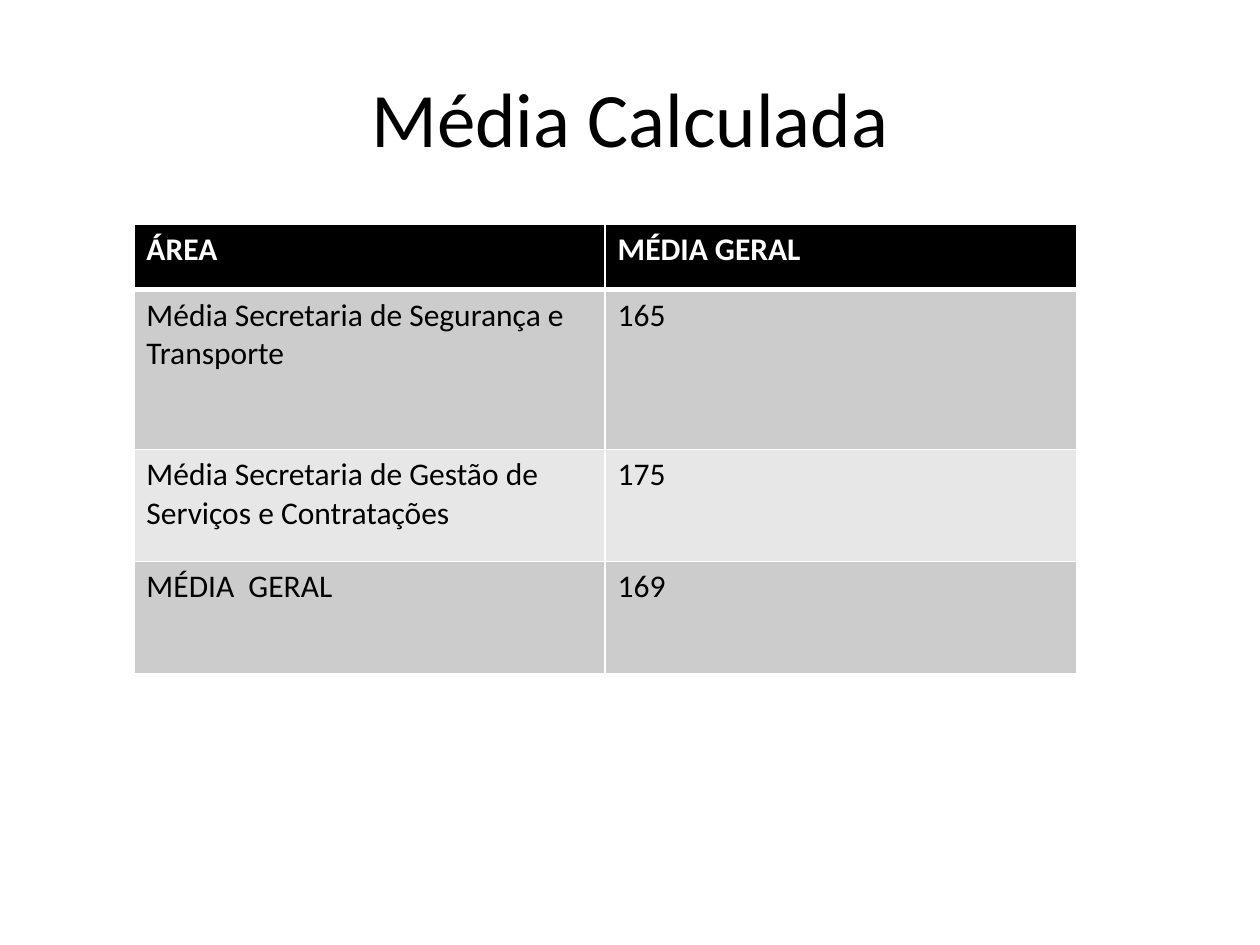
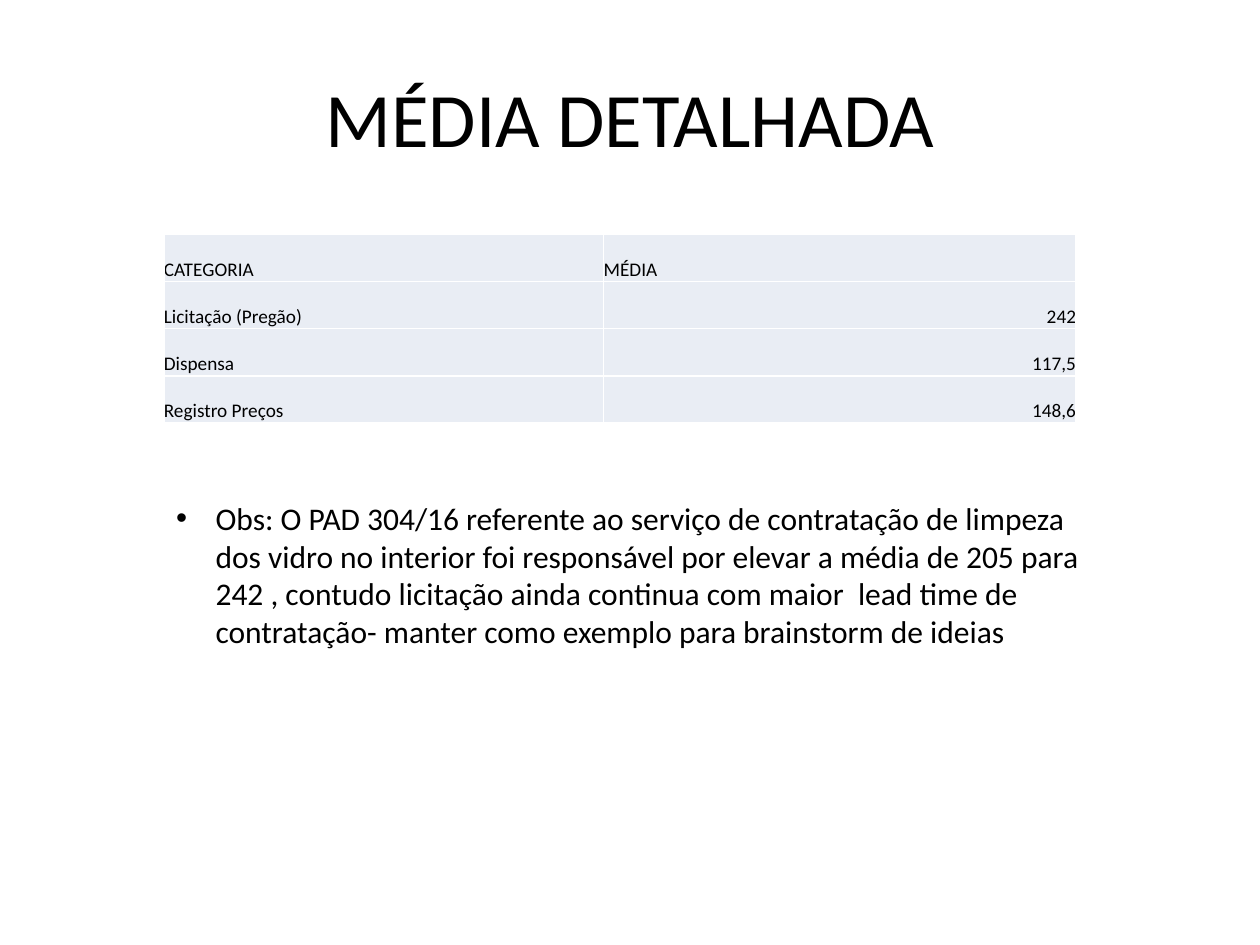
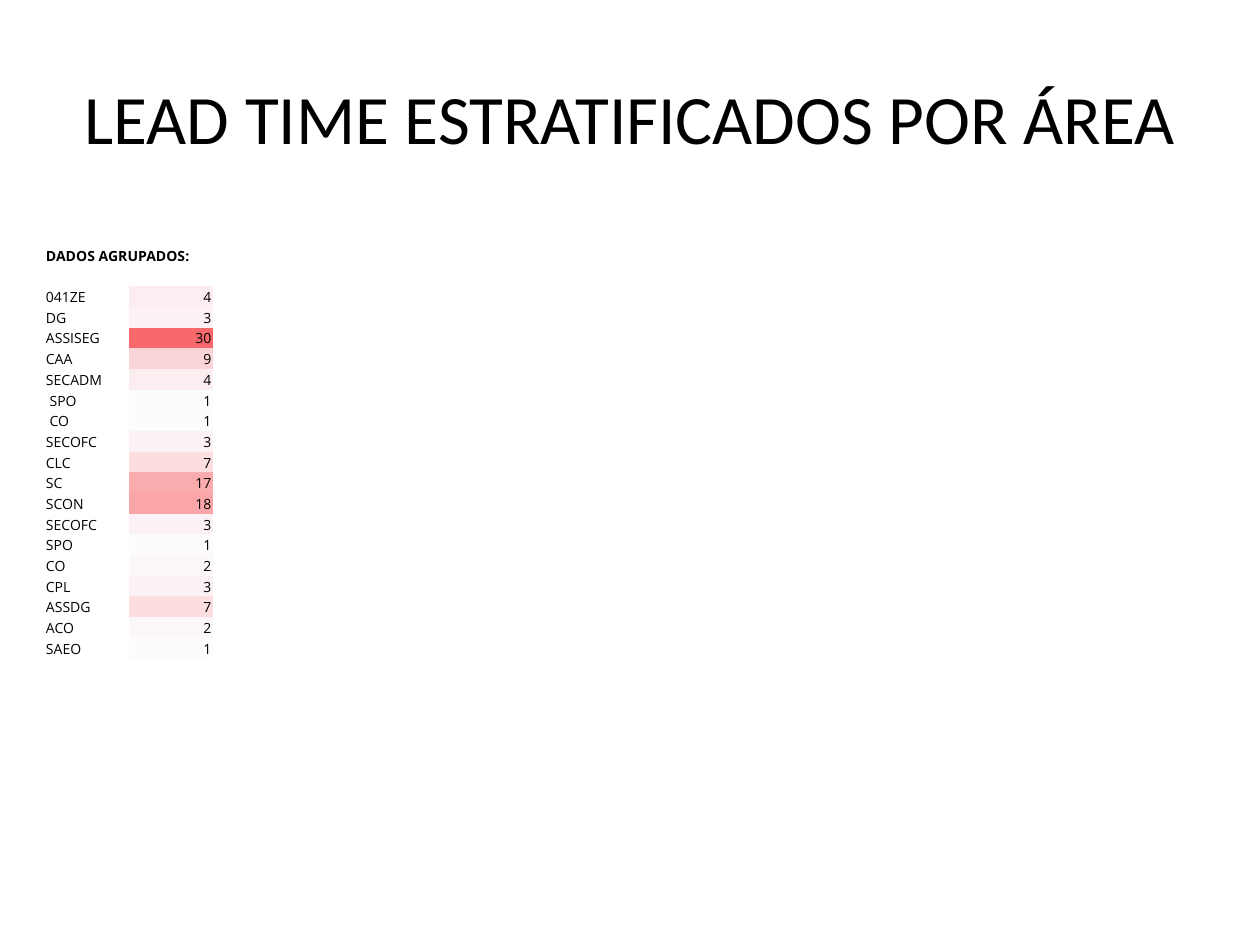
import math
import lxml.etree
import pptx
import pptx.dml.color
import pptx.enum.text
import pptx.oxml.ns
import pptx.util

Pt = pptx.util.Pt
Align = pptx.enum.text.PP_ALIGN
Anchor = pptx.enum.text.MSO_ANCHOR
Color = pptx.dml.color.RGBColor.from_string
qn = pptx.oxml.ns.qn

theme = {
    "font": "Calibri", "data_font": "Open Sans",
    "black": "000000", "white": "FFFFFF",
    "band_dark": "CCCCCC", "band_light": "E7E7E7", "pale_blue": "E9EDF4",
    "heat_low": (252, 252, 255), "heat_high": (248, 105, 107),
    "title": 44, "long_title": 39.6, "body": 18, "small": 11, "tiny": 8,
    "no_grid": "{2D5ABB26-0587-4C30-8999-92F81FD0307C}",
}


def write(frame, text, size, align=Align.LEFT, font=theme["font"], color=theme["black"], bold=False):
    para = frame.paragraphs[0]
    para.alignment = align
    if not text:
        para._p.get_or_add_endParaRPr().set("sz", str(size * 100))
        return para
    span = para.add_run()
    span.text = text
    for name, value in {"name": font, "size": Pt(size), "bold": bold}.items():
        setattr(span.font, name, value)
    span.font.color.rgb = Color(color)
    return para


def style_cell(cell, fill=None, borders=None, **format_values):
    for name, value in format_values.items():
        setattr(cell, name, value)
    if fill:
        cell.fill.solid()
        cell.fill.fore_color.rgb = Color(fill)
    else:
        cell.fill.background()
    properties = cell._tc.get_or_add_tcPr()
    for index, (side, width) in enumerate((borders or {}).items()):
        line = lxml.etree.Element(qn(f"a:ln{side}"), w=str(Pt(width)))
        solid = lxml.etree.SubElement(line, qn("a:solidFill"))
        lxml.etree.SubElement(solid, qn("a:srgbClr"), val=theme["white"])
        properties.insert(index, line)


deck = pptx.Presentation()
deck.slide_width, deck.slide_height = Pt(720), Pt(540)

area_rows = [
    ("ÁREA", "MÉDIA GERAL"),
    ("Média Secretaria de Segurança e Transporte", "165"),
    ("Média Secretaria de Gestão de Serviços e Contratações", "175"),
    ("MÉDIA  GERAL ", "169"),
]
category_rows = [
    ("CATEGORIA", "MÉDIA"),
    ("Licitação (Pregão)", "242"),
    ("Dispensa", "117,5"),
    ("Registro Preços", "148,6"),
]
lead_times = [
    ("041ZE", 4), ("DG", 3), ("ASSISEG", 30), ("CAA", 9), ("SECADM", 4), (" SPO", 1),
    (" CO", 1), ("SECOFC", 3), ("CLC", 7), ("SC", 17), ("SCON", 18), ("SECOFC", 3),
    ("SPO", 1), ("CO", 2), ("CPL", 3), ("ASSDG", 7), ("ACO", 2), ("SAEO", 1),
]
lead_rows = [("DADOS AGRUPADOS:", ""), ("", "")]
lead_rows += [(f"{area} \u00a0", str(days)) for area, days in lead_times]

sections = [
    ("Média Calculada", theme["title"], area_rows, (76.5, 128.3), (269.3, 269.3), (37.3, 91.4, 64, 64)),
    ("MÉDIA DETALHADA", theme["title"], category_rows, (93.6, 134.1), (251.3, 270), (26.9,) * 4),
    ("LEAD TIME ESTRATIFICADOS POR ÁREA", theme["long_title"], lead_rows, (25.5, 139.9), (48, 48), (11.82,) * 20),
]
pages, tables = [], []
for title, title_size, rows, (left, top), widths, heights in sections:
    page = deck.slides.add_slide(deck.slide_layouts[5])
    heading = page.shapes.title
    for name, value in {"left": 36, "top": 21.6, "width": 648, "height": 90}.items():
        setattr(heading, name, Pt(value))
    heading.text_frame.vertical_anchor = Anchor.MIDDLE
    write(heading.text_frame, title, title_size, Align.CENTER)
    table = page.shapes.add_table(
        len(rows), 2, Pt(left), Pt(top), Pt(sum(widths)), Pt(sum(heights))).table
    table._tbl.tblPr.find(qn("a:tableStyleId")).text = theme["no_grid"]
    table.horz_banding = False
    for column, width in zip(table.columns, widths):
        column.width = Pt(width)
    for row, height in zip(table.rows, heights):
        row.height = Pt(height)
    pages.append(page)
    tables.append(table)

area_table, category_table, lead_table = tables
grid = dict.fromkeys("LRTB", 1)

for row, texts in enumerate(area_rows):
    header = row == 0
    fill = theme["black"] if header else theme["band_dark" if row % 2 else "band_light"]
    borders = grid | {"B": 3 if header else 1, "T": 3 if row == 1 else 1}
    for column, text in enumerate(texts):
        cell = area_table.cell(row, column)
        style_cell(cell, fill, borders)
        write(cell.text_frame, text, theme["body"],
              color=theme["white" if header else "black"], bold=header)

flush = {"vertical_anchor": Anchor.BOTTOM, "margin_left": 0, "margin_right": 0,
         "margin_top": 0, "margin_bottom": 0}
for row, texts in enumerate(category_rows):
    for column, text in enumerate(texts):
        cell = category_table.cell(row, column)
        style_cell(cell, theme["pale_blue"], grid, **flush)
        write(cell.text_frame, text, theme["small"], Align.RIGHT if row and column else Align.LEFT)

note = pages[1].shapes.add_textbox(Pt(93.6), Pt(281.5), Pt(550), Pt(94.3))
note.text_frame.word_wrap = True
para = write(
    note.text_frame,
    "Obs: O PAD 304/16 referente ao serviço de contratação de limpeza dos vidro no interior "
    "foi responsável por elevar a média de 205 para 242 , contudo licitação ainda continua com "
    "maior  lead time de contratação- manter como exemplo para brainstorm de ideias",
    theme["body"])
bullet = para._p.get_or_add_pPr()
bullet.set("marL", str(Pt(22.5)))
bullet.set("indent", str(-Pt(22.5)))
lxml.etree.SubElement(bullet, qn("a:buFont"), typeface="Arial")
lxml.etree.SubElement(bullet, qn("a:buChar"), char="•")

tight = flush | dict.fromkeys(("margin_left", "margin_right", "margin_top"), Pt(0.75))
days_low = min(days for area, days in lead_times)
days_high = max(days for area, days in lead_times)
lead_table.cell(0, 0).merge(lead_table.cell(0, 1))
for row, texts in enumerate(lead_rows):
    for column, text in enumerate(texts):
        fill = None
        if column and text:
            share = (int(text) - days_low) / (days_high - days_low)
            fill = "".join(f"{math.ceil(low + (high - low) * share):02X}"
                           for low, high in zip(theme["heat_low"], theme["heat_high"]))
        cell = lead_table.cell(row, column)
        style_cell(cell, fill, **tight)
        write(cell.text_frame, text, theme["tiny"], Align.RIGHT if column else Align.LEFT,
              theme["data_font"], bold=row == 0)

deck.save("out.pptx")
